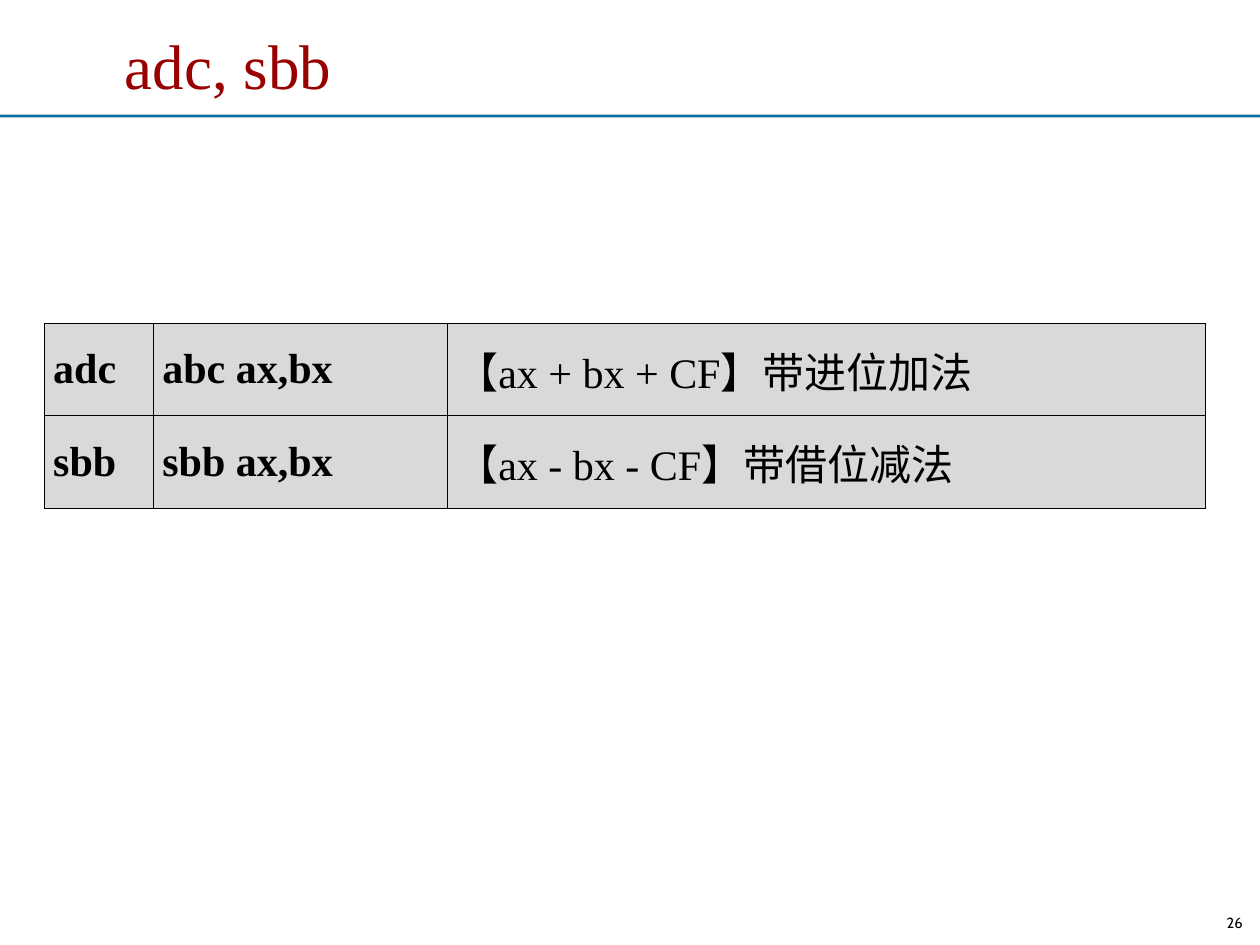
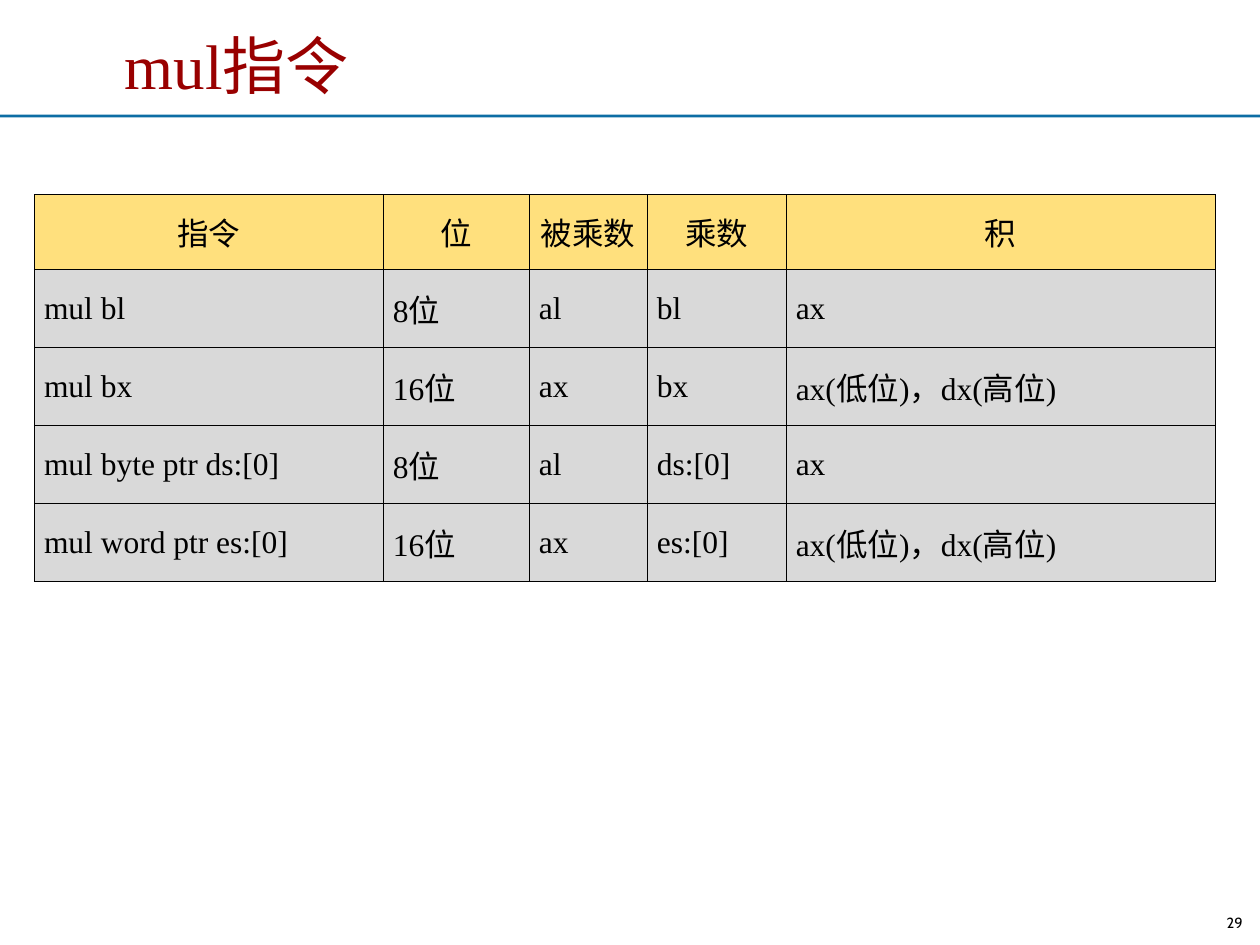
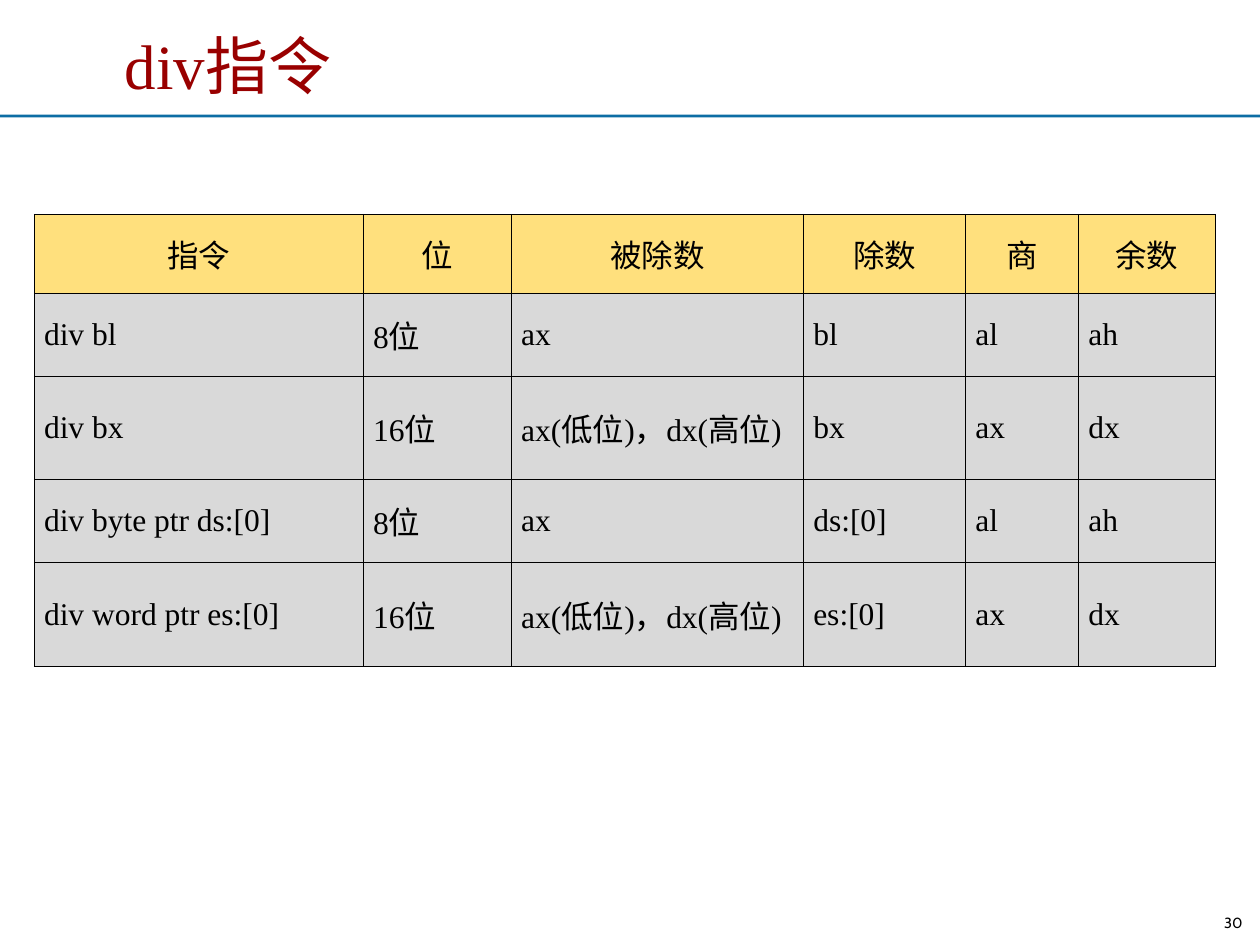
from lxml import etree
from pptx import Presentation
from pptx.dml.color import RGBColor
from pptx.enum.shapes import MSO_SHAPE as Shape
from pptx.enum.text import MSO_ANCHOR as Anchor, PP_ALIGN as Align
from pptx.oxml.ns import qn
from pptx.util import Pt

BLACK = RGBColor(0x00, 0x00, 0x00)
TITLE_RED = RGBColor(0x99, 0x00, 0x00)
RULE_BLUE = RGBColor(0x0C, 0x6D, 0xA4)
HEADER_YELLOW = RGBColor(0xFF, 0xE0, 0x7D)
BODY_GRAY = RGBColor(0xD9, 0xD9, 0xD9)

SERIF = "Times New Roman"
PAGE_W, PAGE_H = 720, 540
BORDER = 0.45
WIDE_PRODUCT = "ax(低位)，dx(高位)"

# Lengths are in points; "bold" counts the leading bold columns.
SLIDES = [
    {
        "title": "adc, sbb", "number": 26,
        "left": 25.2, "top": 185, "inset": 5.2, "size": 24, "bold": 2,
        "columns": [62.4, 168, 433.2], "heights": [52.6, 53],
        "header": [],
        "body": [
            ["adc", "abc ax,bx", "【ax + bx + CF】带进位加法"],
            ["sbb", "sbb ax,bx", "【ax - bx - CF】带借位减法"],
        ],
    },
    {
        "title": "mul指令", "number": 29,
        "left": 19.6, "top": 111.2, "inset": 5.6, "size": 18, "bold": 0,
        "columns": [199.4, 83.4, 67.4, 79.4, 245.2],
        "heights": [42.8, 44.6, 44.6, 44.6, 44.6],
        "header": ["指令", "位", "被乘数", "乘数", "积"],
        "body": [
            ["mul bl", "8位", "al", "bl", "ax"],
            ["mul bx", "16位", "ax", "bx", WIDE_PRODUCT],
            ["mul byte ptr ds:[0]", "8位", "al", "ds:[0]", "ax"],
            ["mul word ptr es:[0]", "16位", "ax", "es:[0]", WIDE_PRODUCT],
        ],
    },
    {
        "title": "div指令", "number": 30,
        "left": 19.6, "top": 122.4, "inset": 5.6, "size": 18, "bold": 0,
        "columns": [188, 84.6, 167, 92.6, 64.6, 78.2],
        "heights": [45.2, 47.2, 59.4, 47.2, 59.4],
        "header": ["指令", "位", "被除数", "除数", "商", "余数"],
        "body": [
            ["div bl", "8位", "ax", "bl", "al", "ah"],
            ["div bx", "16位", WIDE_PRODUCT, "bx", "ax", "dx"],
            ["div byte ptr ds:[0]", "8位", "ax", "ds:[0]", "al", "ah"],
            ["div word ptr es:[0]", "16位", WIDE_PRODUCT, "es:[0]", "ax", "dx"],
        ],
    },
]


def write(frame, text, size, align, font=SERIF, color=BLACK, bold=False):
    para = frame.paragraphs[0]
    para.alignment = align
    span = para.add_run()
    span.text = text
    span.font.name = font
    span.font.size = Pt(size)
    span.font.bold = bold
    span.font.color.rgb = color
    return para


def add_text_box(page, left, top, width, height):
    box = page.shapes.add_textbox(Pt(left), Pt(top), Pt(width), Pt(height))
    frame = box.text_frame
    frame.word_wrap = True
    frame.vertical_anchor = Anchor.MIDDLE
    return frame


def add_frame(page, title, number):
    """Add what every slide shares: rule, title and slide number."""
    rule = page.shapes.add_shape(Shape.RECTANGLE, 0, Pt(65.6), Pt(PAGE_W), Pt(1.6))
    rule.shadow.inherit = False
    rule.fill.solid()
    rule.fill.fore_color.rgb = RULE_BLUE
    rule.line.fill.background()

    write(add_text_box(page, 64.2, 11, 641.6, 51), title, 36, Align.LEFT,
          color=TITLE_RED)

    footer = add_text_box(page, 549.4, 519.6, 167.8, 17.2)
    footer.margin_top = footer.margin_bottom = Pt(3)
    write(footer, str(number), 8.4, Align.RIGHT, font="Cabin").line_spacing = 0.8


def add_borders(cell):
    properties = cell._tc.get_or_add_tcPr()
    for side in ("a:lnL", "a:lnR", "a:lnT", "a:lnB"):
        line = etree.SubElement(properties, qn(side), w=str(Pt(BORDER)))
        fill = etree.SubElement(line, qn("a:solidFill"))
        etree.SubElement(fill, qn("a:srgbClr"), val=str(BLACK))


def add_instruction_table(page, content):
    header, columns, heights = content["header"], content["columns"], content["heights"]
    rows = ([header] if header else []) + content["body"]
    table = page.shapes.add_table(
        len(rows), len(columns), Pt(content["left"]), Pt(content["top"]),
        Pt(sum(columns)), Pt(sum(heights))).table
    table.first_row = bool(header)
    table.horz_banding = False
    for column, width in zip(table.columns, columns):
        column.width = Pt(width)
    for row, height, texts in zip(table.rows, heights, rows):
        row.height = Pt(height)
        is_header = texts is header
        for index, (cell, text) in enumerate(zip(row.cells, texts)):
            add_borders(cell)
            cell.fill.solid()
            cell.fill.fore_color.rgb = HEADER_YELLOW if is_header else BODY_GRAY
            cell.vertical_anchor = Anchor.MIDDLE
            cell.margin_left = cell.margin_right = Pt(content["inset"])
            cell.margin_top = cell.margin_bottom = Pt(3.6)
            write(cell.text_frame, text, content["size"],
                  Align.CENTER if is_header else Align.JUSTIFY,
                  bold=index < content["bold"])


def main():
    deck = Presentation()
    deck.slide_width, deck.slide_height = Pt(PAGE_W), Pt(PAGE_H)
    for content in SLIDES:
        page = deck.slides.add_slide(deck.slide_layouts[6])
        add_frame(page, content["title"], content["number"])
        add_instruction_table(page, content)
    deck.save("out.pptx")


if __name__ == "__main__":
    main()
